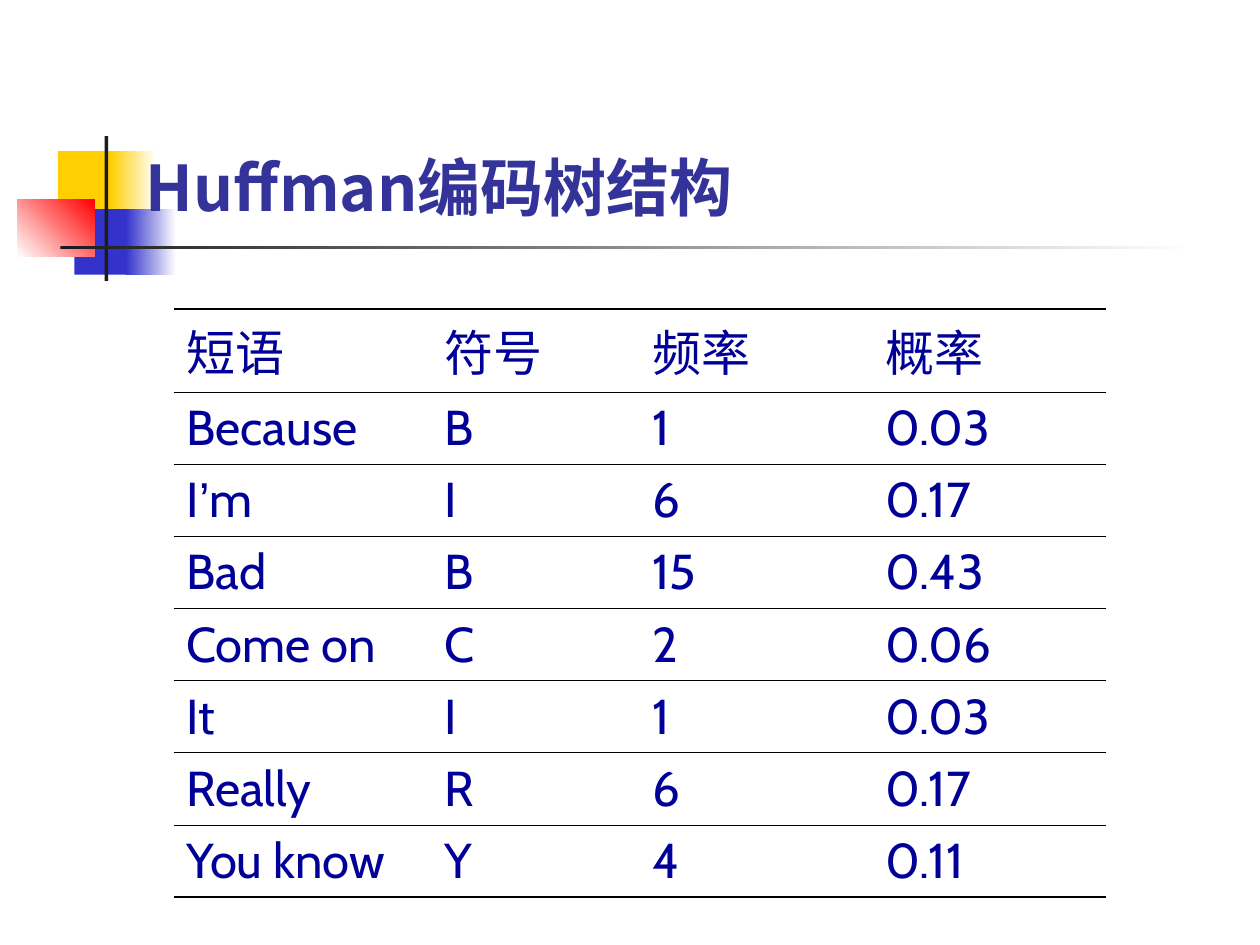
from typing import NamedTuple, Optional

from lxml.etree import SubElement
from pptx import Presentation
from pptx.dml.color import RGBColor
from pptx.enum.shapes import MSO_SHAPE
from pptx.enum.text import MSO_ANCHOR
from pptx.oxml import parse_xml
from pptx.oxml.ns import nsdecls, qn
from pptx.util import Inches, Pt

WHITE = RGBColor(0xFF, 0xFF, 0xFF)
YELLOW = RGBColor(0xFF, 0xCF, 0x01)
BLUE = RGBColor(0x33, 0x33, 0xCC)
RED = RGBColor(0xFF, 0x00, 0x00)
CHARCOAL = RGBColor(0x1C, 0x1C, 0x1C)
TITLE_COLOR = RGBColor(0x33, 0x33, 0x99)
CELL_COLOR = RGBColor(0x00, 0x00, 0x99)

LATIN_FONT = "Cabin"
CJK_FONT = "Noto Sans CJK SC"
THIN, THICK = Pt(0.45), Pt(1.08)


class Block(NamedTuple):
    left: float
    top: float
    width: float
    height: float
    color: RGBColor
    fade_to: Optional[RGBColor] = None
    angle: float = 0


BLOCKS = [
    Block(0.46, 1.2, 0.48, 0.52, YELLOW),
    Block(0.88, 1.2, 0.36, 0.52, YELLOW, WHITE),
    Block(0.59, 1.66, 0.46, 0.52, BLUE),
    Block(1, 1.66, 0.4, 0.52, BLUE, WHITE),
    Block(0.14, 1.58, 0.61, 0.46, WHITE, RED, 45),
    Block(0.83, 1.08, 0.03, 1.15, CHARCOAL),
    Block(0.48, 1.95, 9, 0.03, CHARCOAL, WHITE),
]

COLUMN_WIDTHS = [2.05, 1.65, 1.85, 1.85]
ROW_HEIGHT = 0.57
ROWS = [
    ("短语", "符号", "频率", "概率"),
    ("Because", "B", "1", "0.03"),
    ("I’m", "I", "6", "0.17"),
    ("Bad", "B", "15", "0.43"),
    ("Come on", "C", "2", "0.06"),
    ("It", "I", "1", "0.03"),
    ("Really", "R", "6", "0.17"),
    ("You know", "Y", "4", "0.11"),
]


def add_block(slide, block: Block) -> None:
    sp = slide.shapes.add_shape(
        MSO_SHAPE.RECTANGLE, Inches(block.left), Inches(block.top),
        Inches(block.width), Inches(block.height))
    sp.shadow.inherit = False
    sp.line.fill.background()
    if block.fade_to is None:
        sp.fill.solid()
        sp.fill.fore_color.rgb = block.color
        return
    sp.fill.gradient()
    sp.fill.gradient_angle = block.angle
    for stop, color in zip(sp.fill.gradient_stops, (block.color, block.fade_to)):
        stop.color.rgb = color


def style_paragraph(p, size: int, color: RGBColor, font: str, bold: bool = False) -> None:
    p.font.size = Pt(size)
    p.font.bold = bold
    p.font.color.rgb = color
    p.font.name = font
    def_rpr = p._p.get_or_add_pPr().find(qn("a:defRPr"))
    SubElement(def_rpr, qn("a:ea")).set("typeface", CJK_FONT)


def set_borders(cell, top: int, bottom: int) -> None:
    """Rule the cell above and below, leaving its sides open."""
    tc_pr = cell._tc.get_or_add_tcPr()
    black = '<a:solidFill><a:srgbClr val="000000"/></a:solidFill>'
    edges = [("lnL", 0, "<a:noFill/>"), ("lnR", 0, "<a:noFill/>"),
             ("lnT", top, black), ("lnB", bottom, black)]
    for i, (tag, width, fill) in enumerate(edges):
        tc_pr.insert(i, parse_xml(
            f'<a:{tag} {nsdecls("a")} w="{int(width)}">{fill}</a:{tag}>'))


def fill_cell(cell, text: str) -> None:
    p = cell.text_frame.paragraphs[0]
    style_paragraph(p, 28, CELL_COLOR, LATIN_FONT)
    before, apostrophe, after = text.partition("’")
    p.add_run().text = before
    if apostrophe:
        r = p.add_run()
        r.text = apostrophe
        r.font.name = "Arial"
        p.add_run().text = after
    cell.margin_left = cell.margin_right = Inches(0.1)
    cell.margin_top = cell.margin_bottom = Inches(0.05)
    cell.fill.background()


def add_phrase_table(slide) -> None:
    table = slide.shapes.add_table(
        len(ROWS), len(COLUMN_WIDTHS), Inches(1.38), Inches(2.45),
        Inches(sum(COLUMN_WIDTHS)), Inches(ROW_HEIGHT * len(ROWS))).table
    table.first_row = table.horz_banding = False
    for column, width in zip(table.columns, COLUMN_WIDTHS):
        column.width = Inches(width)
    last = len(ROWS) - 1
    for i, values in enumerate(ROWS):
        table.rows[i].height = Inches(ROW_HEIGHT)
        for j, text in enumerate(values):
            cell = table.cell(i, j)
            fill_cell(cell, text)
            set_borders(cell, THICK if i == 0 else THIN, THICK if i == last else THIN)


def add_title(slide, text: str) -> None:
    tf = slide.shapes.add_textbox(
        Inches(1.06), Inches(1.07), Inches(8.52), Inches(0.76)).text_frame
    tf.word_wrap = True
    tf.vertical_anchor = MSO_ANCHOR.BOTTOM
    p = tf.paragraphs[0]
    p.text = text
    style_paragraph(p, 36, TITLE_COLOR, CJK_FONT, bold=True)


def main() -> None:
    prs = Presentation()
    prs.slide_width, prs.slide_height = Inches(10), Inches(7.5)
    slide = prs.slides.add_slide(prs.slide_layouts[6])
    for block in BLOCKS:
        add_block(slide, block)
    add_phrase_table(slide)
    add_title(slide, "Huffman编码树结构")
    prs.save("out.pptx")


if __name__ == "__main__":
    main()
